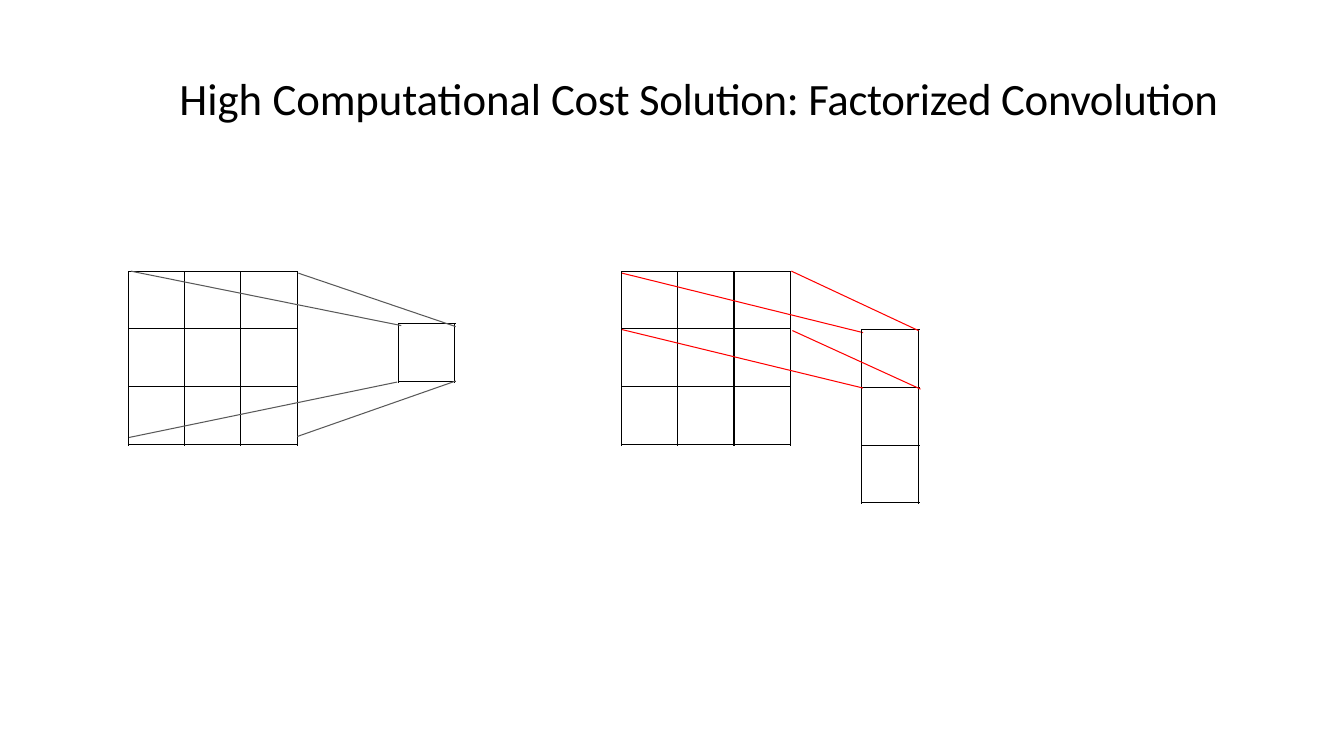
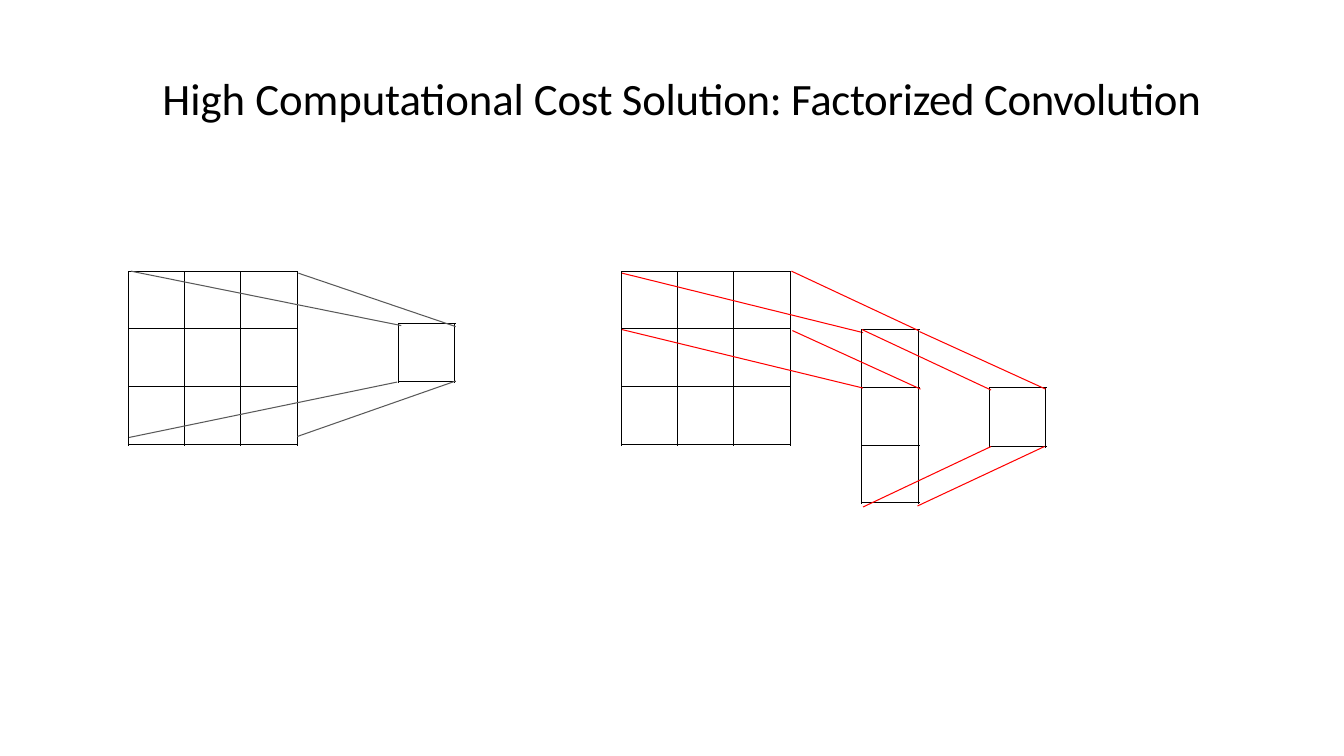
import pptx
import pptx.dml.color
import pptx.enum.text
import pptx.util

EMU_PER_PX = 9144  # 100 px to the inch


def px(length):
    return pptx.util.Emu(round(length * EMU_PER_PX))


def color(hex_string):
    return pptx.dml.color.RGBColor.from_string(hex_string)


def add_text(paragraph, text, *, font, size, fill, spacing=0):
    """Add one run; spacing is in hundredths of a point."""
    run = paragraph.add_run()
    run.text = text
    run.font.name = font
    run.font.size = pptx.util.Pt(size)
    run.font.color.rgb = color(fill)
    if spacing:
        run.font._element.set("spc", str(spacing))


def grid_lines(left, top, width, height, columns, rows, overhang=1):
    """Lines of a grid, running slightly past its right and bottom edges."""
    right, bottom = left + width + overhang, top + height + overhang
    xs = [left + width * column / columns for column in range(columns + 1)]
    ys = [top + height * row / rows for row in range(rows + 1)]
    return [(x, top, x, bottom) for x in xs] + [(left, y, right, y) for y in ys]


class Deck:
    FONT = "Calibri"
    TITLE_SIZE = 32
    BLACK, GREY, RED = "000000", "595959", "FF0000"
    LINE_WIDTH = 0.75

    def __init__(self):
        self.prs = pptx.Presentation()
        self.prs.slide_width, self.prs.slide_height = px(1333), px(750)
        self.slide = None
        self.diagram = None

    def new_slide(self):
        self.slide = self.prs.slides.add_slide(self.prs.slide_layouts[6])

    def new_diagram(self):
        self.diagram = self.slide.shapes.add_group_shape()

    def title(self, left, width, parts):
        box = self.slide.shapes.add_textbox(px(left), px(68), px(width), px(55))
        frame = box.text_frame
        frame.word_wrap = True
        frame.vertical_anchor = pptx.enum.text.MSO_ANCHOR.MIDDLE
        frame.margin_left = frame.margin_right = frame.margin_bottom = 0
        frame.margin_top = px(2)
        heading = frame.paragraphs[0]
        indents = heading._p.get_or_add_pPr()
        indents.set("marL", str(px(2)))
        indents.set("indent", str(px(82)))
        for text, spacing in parts:
            add_text(heading, text, font=self.FONT, size=self.TITLE_SIZE,
                     fill=self.BLACK, spacing=spacing)

    def lines(self, segments, stroke):
        """Draw all segments as one outline in the current diagram."""
        x, y = segments[0][:2]
        builder = self.diagram.shapes.build_freeform(px(x), px(y), scale=1.0)
        for number, (x1, y1, x2, y2) in enumerate(segments):
            if number:
                builder.move_to(px(x1), px(y1))
            builder.add_line_segments([(px(x2), px(y2))], close=False)
        outline = builder.convert_to_shape()
        outline.shadow.inherit = False
        outline.fill.background()
        outline.line.color.rgb = color(stroke)
        outline.line.width = pptx.util.Pt(self.LINE_WIDTH)

    def grids(self, *grids):
        self.lines([line for grid in grids for line in grid_lines(*grid)],
                   self.BLACK)


TITLE = [("High ", 0), ("Computational ", -10),
         ("Cost Solution: Factorized Convolution", -25)]

# Each grid: left, top, width, height, columns, rows
FULL_INPUT = (127, 269, 168, 172, 3, 3)
FULL_OUTPUT = (395, 321, 56, 58, 1, 1)
FACTORIZED_INPUT = (616, 269, 168, 172, 3, 3)
FACTORIZED_COLUMN = (854, 327, 57, 172, 1, 3)
FACTORIZED_OUTPUT = (981, 384, 56, 59, 1, 1)

# Each ray: x and y of the start, x and y of the end
FULL_RAYS = [(130, 269, 398, 323), (296, 271, 452, 324),
             (128, 434, 394, 379), (295, 433, 452, 378)]
TOP_RAY = [(617, 271, 856, 330)]
ROW_RAYS = [(785, 269, 911, 328), (617, 327, 856, 385),
            (786, 328, 913, 386)]
COLUMN_RAYS = [(855, 327, 983, 387), (912, 329, 1037, 386),
               (856, 503, 983, 443), (910, 502, 1036, 443)]


def convolution_slide(deck, title_left, title_width, outputs, output_rays):
    deck.new_slide()
    deck.title(title_left, title_width, TITLE)

    # Full 3 × 3 convolution
    deck.new_diagram()
    deck.grids(FULL_INPUT, FULL_OUTPUT)
    deck.lines(FULL_RAYS, deck.GREY)

    # Factorized convolution: rows to a column, then to one cell
    deck.new_diagram()
    deck.grids(FACTORIZED_INPUT, *outputs)
    deck.lines(TOP_RAY, deck.RED)
    deck.grids(FACTORIZED_COLUMN)
    deck.lines(ROW_RAYS + output_rays, deck.RED)


def main():
    deck = Deck()
    convolution_slide(deck, 94, 1196, [], [])
    convolution_slide(deck, 77, 1208, [FACTORIZED_OUTPUT], COLUMN_RAYS)
    deck.prs.save("out.pptx")


if __name__ == "__main__":
    main()
